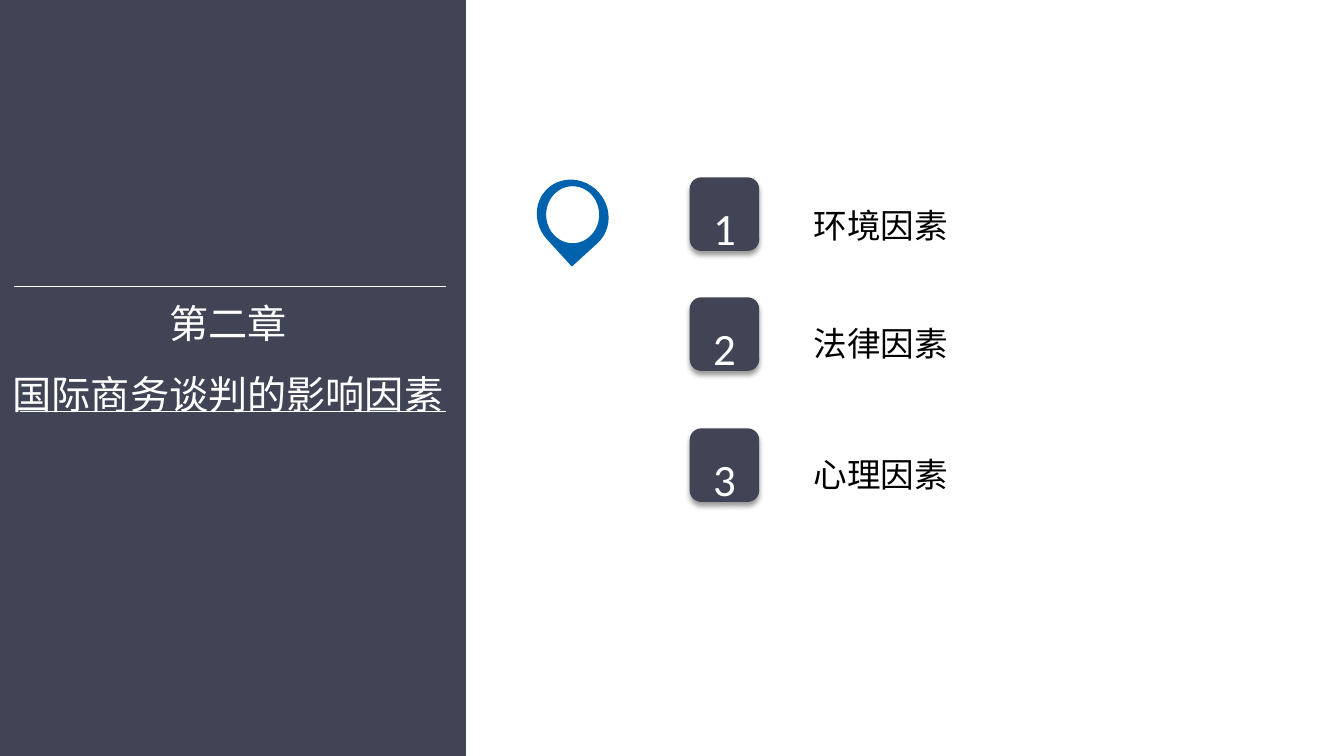
from lxml import etree
from pptx import Presentation
from pptx.dml.color import RGBColor
from pptx.enum.shapes import MSO_CONNECTOR, MSO_SHAPE
from pptx.enum.text import MSO_ANCHOR, MSO_AUTO_SIZE, PP_ALIGN
from pptx.oxml import parse_xml
from pptx.oxml.ns import qn
from pptx.util import Inches, Pt

RECT, ROUNDED = MSO_SHAPE.RECTANGLE, MSO_SHAPE.ROUNDED_RECTANGLE
TEARDROP, OVAL = MSO_SHAPE.TEAR, MSO_SHAPE.OVAL
CENTER, LEFT, MIDDLE = PP_ALIGN.CENTER, PP_ALIGN.LEFT, MSO_ANCHOR.MIDDLE

# Content
CHAPTER = ["第二章", "国际商务谈判的影响因素"]
FACTORS = [  # number, label, top of the badge, top of the label
    ("1", "环境因素", 1.76, 1.78),
    ("2", "法律因素", 2.95, 2.95),
    ("3", "心理因素", 4.25, 4.25),
]
RULES = [(0.14, 2.84), (0.2, 4.08)]  # left, y
RULE_RIGHT = 4.42

COLORS = {"panel": "414455", "pin": "0062AC", "white": "FFFFFF", "black": "000000"}
CJK_FONT = "Noto Sans CJK SC"
SHADOW = (
    '<a:effectLst xmlns:a="http://schemas.openxmlformats.org/drawingml/2006/main">'
    f'<a:outerShdw blurRad="{Pt(4)}" dist="{Pt(3)}" dir="5400000" rotWithShape="0">'
    '<a:srgbClr val="000000"><a:alpha val="40000"/></a:srgbClr>'
    "</a:outerShdw></a:effectLst>"
)


def rgb(name):
    return RGBColor.from_string(COLORS[name])


def add_shape(kind, box, fill, line=None):
    s = slide.shapes.add_shape(kind, *map(Inches, box))
    s.shadow.inherit = False
    s.fill.solid()
    s.fill.fore_color.rgb = rgb(fill)
    if line:
        s.line.color.rgb = rgb(line)
        s.line.width = Pt(1)
    else:
        s.line.fill.background()
    return s


def write(tf, lines, size, font, color, align):
    tf.text = "\n".join(lines)
    for p in tf.paragraphs:
        p.alignment = align
        p.line_spacing = 1.5
        for r in p.runs:
            r.font.size = Pt(size)
            r.font.name = font
            r.font.color.rgb = rgb(color)
            ea = etree.SubElement(r.font._element, qn("a:ea"))
            ea.set("typeface", CJK_FONT)


def add_text(box, lines, size, font, color, align, wrap):
    tf = slide.shapes.add_textbox(*map(Inches, box)).text_frame
    tf.word_wrap = wrap
    tf.auto_size = MSO_AUTO_SIZE.SHAPE_TO_FIT_TEXT
    write(tf, lines, size, font, color, align)


prs = Presentation()
prs.slide_width, prs.slide_height = Inches(13.33), Inches(7.5)
slide = prs.slides.add_slide(prs.slide_layouts[6])

# Chapter panel
add_shape(RECT, (0, 0, 4.62, 7.5), "panel")
add_text((-0.1, 2.69, 4.72, 1.51), CHAPTER, 28, "Times New Roman", "white", CENTER, True)

# Numbered factors
for number, label, badge_top, label_top in FACTORS:
    badge = add_shape(ROUNDED, (6.84, badge_top, 0.69, 0.73), "panel")
    sp_pr = badge._element.spPr
    sp_pr.replace(sp_pr.find(qn("a:effectLst")), parse_xml(SHADOW))
    badge.text_frame.vertical_anchor = MIDDLE
    write(badge.text_frame, [number], 32, "Calibri", "white", CENTER)
    add_text((7.97, label_top, 1.55, 0.71), [label], 24, CJK_FONT, "black", LEFT, False)

# Location pin
pin = add_shape(TEARDROP, (5.34, 1.78, 0.68, 0.72), "pin", "pin")
pin.rotation = 137.5
add_shape(OVAL, (5.41, 1.84, 0.54, 0.58), "white", "pin")

# Rules around the chapter title
for left, y in RULES:
    rule = slide.shapes.add_connector(
        MSO_CONNECTOR.STRAIGHT, Inches(left), Inches(y), Inches(RULE_RIGHT), Inches(y))
    rule.line.color.rgb = rgb("white")
    rule.line.width = Pt(0.5)
    etree.SubElement(rule._element.spPr, qn("a:effectLst"))

prs.save("out.pptx")
